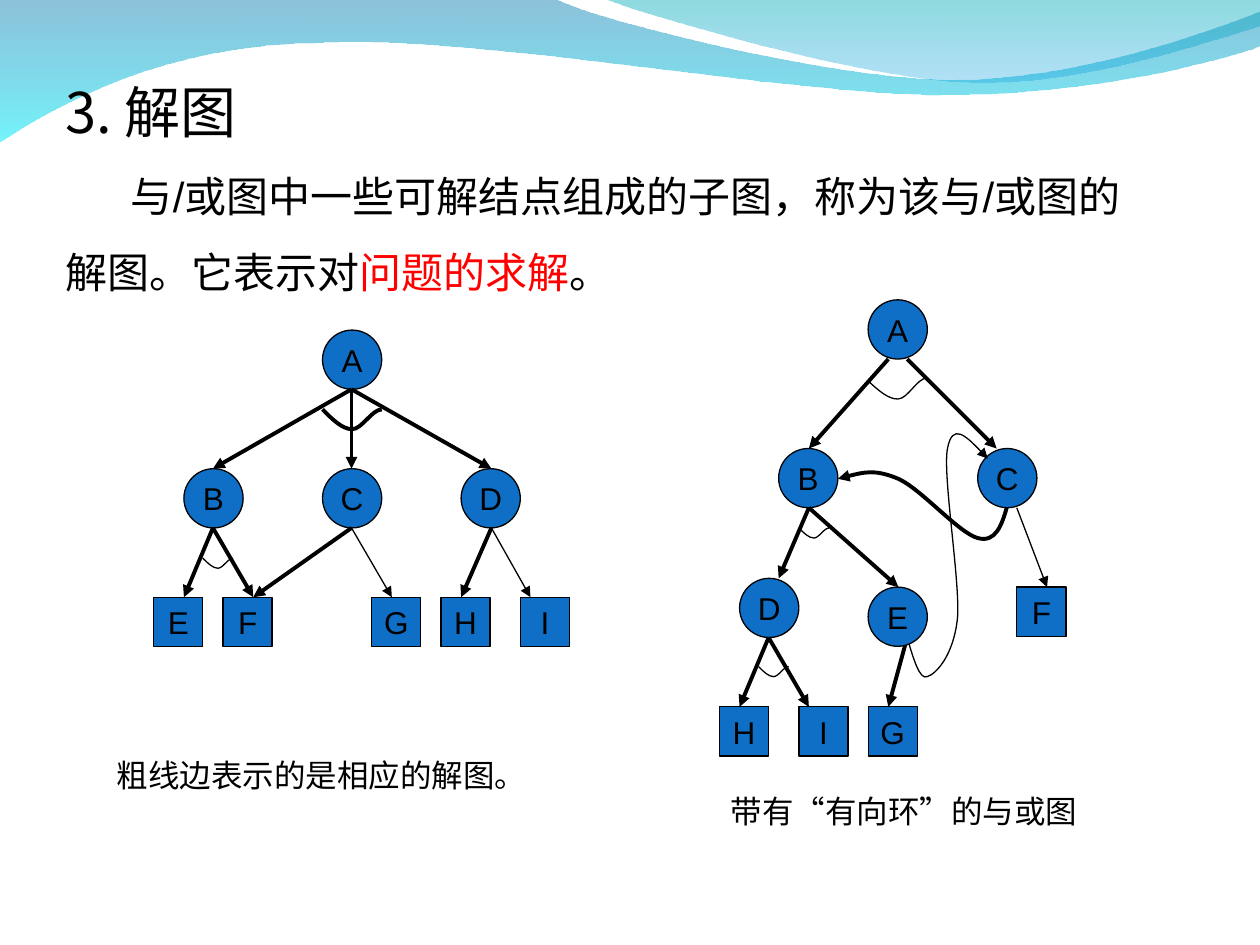
import pptx
import pptx.util
import pptx.dml.color
import pptx.enum.shapes
import pptx.enum.text
import pptx.oxml.ns
from lxml import etree

Inches = pptx.util.Inches
Pt = pptx.util.Pt
qn = pptx.oxml.ns.qn
SHAPES = pptx.enum.shapes.MSO_SHAPE
ALIGN = pptx.enum.text.PP_ALIGN

COLOURS = {
    "text": "000000", "accent": "FF0000", "node": "0F6FC6",
    "wave_top": "0079AF", "wave_bottom": "00EBF8",
    "crest_top": "00ADB6", "crest_bottom": "009BE5",
}
THICK, THIN = 2.25, 0.75
CIRCLE, SQUARE = 0.47, 0.39


def colour(name):
    return pptx.dml.color.RGBColor.from_string(COLOURS[name])


class SlideBuilder:
    latin_font = "Arial"
    asian_font = "Noto Sans CJK SC"

    def __init__(self, slide):
        self.slide = slide

    def style_run(self, run, size, colour_name="text", font=None):
        run.font.size = Pt(size)
        run.font.name = font or self.latin_font
        run.font.color.rgb = colour(colour_name)
        asian = etree.SubElement(run.font._element, qn("a:ea"))
        asian.set("typeface", self.asian_font)

    def style_line(self, shape, width, arrow=False):
        shape.line.color.rgb = colour("text")
        shape.line.width = Pt(width)
        if arrow:
            line = shape.line._get_or_add_ln()
            etree.SubElement(line, qn("a:tailEnd")).set("type", "triangle")

    def text_box(self, left, top, width, height):
        box = self.slide.shapes.add_textbox(
            Inches(left), Inches(top), Inches(width), Inches(height))
        box.text_frame.word_wrap = True
        box.text_frame.auto_size = pptx.enum.text.MSO_AUTO_SIZE.SHAPE_TO_FIT_TEXT
        return box.text_frame

    def caption(self, text, *place):
        frame = self.text_box(*place)
        frame.text = text
        self.style_run(frame.paragraphs[0].runs[0], 18)

    def node(self, label, left, top, kind, size):
        shape = self.slide.shapes.add_shape(
            kind, Inches(left), Inches(top), Inches(size), Inches(size))
        shape.shadow.inherit = False
        shape.fill.solid()
        shape.fill.fore_color.rgb = colour("node")
        self.style_line(shape, THIN)
        frame = shape.text_frame
        frame.text = label
        frame.word_wrap = False
        frame.vertical_anchor = pptx.enum.text.MSO_ANCHOR.MIDDLE
        frame.paragraphs[0].alignment = ALIGN.CENTER
        self.style_run(frame.paragraphs[0].runs[0], 18)

    def circle(self, label, left, top):
        self.node(label, left, top, SHAPES.OVAL, CIRCLE)

    def square(self, label, left, top):
        self.node(label, left, top, SHAPES.RECTANGLE, SQUARE)

    def edge(self, start, end, width=THICK):
        connector = self.slide.shapes.add_connector(
            pptx.enum.shapes.MSO_CONNECTOR.STRAIGHT,
            *(Inches(value) for value in start + end))
        self.style_line(connector, width, arrow=True)
        etree.SubElement(connector._element.spPr, qn("a:effectLst"))

    def freeform(self, start, segments, close):
        """Two numbers make a straight segment, six a cubic curve."""
        points = [(Inches(segment[i]), Inches(segment[i + 1]))
                  for segment in segments for i in range(0, len(segment), 2)]
        builder = self.slide.shapes.build_freeform(Inches(start[0]), Inches(start[1]))
        builder.add_line_segments(points, close=close)
        shape = builder.convert_to_shape()
        shape.shadow.inherit = False
        # Merge each three points of a curve into one cubic element
        straight = iter(list(shape._element.iter(qn("a:lnTo"))))
        for segment in segments:
            first = next(straight)
            if len(segment) == 6:
                first.tag = qn("a:cubicBezTo")
                for extra in (next(straight), next(straight)):
                    first.append(extra[0])
                    extra.getparent().remove(extra)
        return shape

    def curve(self, start, segments, width, arrow=False):
        shape = self.freeform(start, segments, close=False)
        shape.fill.background()
        self.style_line(shape, width, arrow)
        return shape

    def and_arc(self, left, top, size, line_width=THIN):
        """Arc that joins the edges of an AND node; a third as deep as wide."""
        bottom = top + size / 3
        return self.curve((left, top), [
            (left + size / 6, top + size / 6, left + size / 3, bottom,
             left + size / 2, bottom),
            (left + size * 2 / 3, bottom, left + size * 5 / 6, top,
             left + size, top)], line_width)

    def wave(self, start, segments, stops):
        shape = self.freeform(start, segments, close=True)
        shape.line.fill.background()
        shape.fill.gradient()
        shape.fill.gradient_angle = 270
        for stop, (name, opacity) in zip(shape.fill.gradient_stops, stops):
            stop.color.rgb = colour(name)
        for element, (name, opacity) in zip(
                shape._element.spPr.iter(qn("a:srgbClr")), stops):
            etree.SubElement(element, qn("a:alpha")).set("val", str(opacity * 1000))


presentation = pptx.Presentation()
presentation.slide_width, presentation.slide_height = Inches(10), Inches(7.5)
builder = SlideBuilder(presentation.slides.add_slide(presentation.slide_layouts[6]))

# Waves along the top
builder.wave((0, -0.01), [
    (4.4, -0.01), (4.76, 0.17, 6.64, 0.63, 7.58, 0.63),
    (8.53, 0.63, 9.58, 0.26, 10, 0.09), (10.01, 0.36),
    (9.83, 0.44, 8.7, 0.76, 7.46, 0.75), (6.22, 0.75, 3.82, 0.28, 2.57, 0.34),
    (1.29, 0.35, 0.46, 0.83, -0.01, 1.13)],
    [("wave_top", 45), ("wave_bottom", 55)])
builder.wave((4.79, -0.01), [
    (5.09, 0.11, 6.82, 0.62, 7.69, 0.65), (8.56, 0.69, 9.61, 0.32, 10, 0.21),
    (10, 0)], [("crest_top", 45), ("crest_bottom", 30)])

# Heading and definition
frame = builder.text_box(0.42, 0.57, 8.83, 1.84)
frame.text = "3. 解图"
builder.style_run(frame.paragraphs[0].runs[0], 32, font=builder.asian_font)
paragraph = frame.add_paragraph()
paragraph.line_spacing = 1.5
paragraph._p.get_or_add_pPr().set("indent", str(Inches(0.52)))
for text, name in (("与/或图中一些可解结点组成的子图，称为该与/或图的解图。它表示对", "text"),
                   ("问题的求解", "accent"), ("。", "text")):
    run = paragraph.add_run()
    run.text = text
    builder.style_run(run, 24, name)

# Left graph
builder.circle("A", 2.56, 2.62)
for index, label in enumerate("BCD"):
    builder.circle(label, 1.46 + 1.1 * index, 3.72)
for label, left in zip("EFGHI", (1.22, 1.77, 2.95, 3.5, 4.13)):
    builder.square(label, left, 4.74)
for child in (1.69, 2.79, 3.9):
    builder.edge((2.79, 3.09), (child, 3.72))
for parent, leaf, width in (
        (1.69, 1.46, THICK), (3.9, 3.66, THICK), (1.69, 2.01, THICK),
        (2.79, 3.11, THIN), (3.9, 4.21, THIN), (2.79, 2.01, THICK)):
    builder.edge((parent, 4.19), (leaf, 4.74), width)
builder.and_arc(2.56, 3.25, 0.47, THICK)
builder.and_arc(1.61, 4.43, 0.24)

# Right graph with a directed cycle
for label, left, top in (("A", 6.89, 2.38), ("B", 6.18, 3.56),
                         ("C", 7.76, 3.56), ("D", 5.87, 4.59)):
    builder.circle(label, left, top)
for label, left, top in (("F", 8.07, 4.66), ("G", 6.89, 5.61),
                         ("H", 5.71, 5.61), ("I", 6.34, 5.61)):
    builder.square(label, left, top)
for start, end in (
        ((7.05, 2.85), (6.42, 3.56)), ((7.2, 2.85), (7.91, 3.56)),
        ((6.42, 4.03), (6.18, 4.59)), ((6.1, 5.06), (5.87, 5.61)),
        ((6.42, 4.03), (7.13, 4.66)), ((6.1, 5.06), (6.42, 5.61)),
        ((7.2, 5.06), (7.05, 5.61))):
    builder.edge(start, end)
builder.edge((8.07, 4.03), (8.31, 4.66), THIN)
builder.and_arc(6.89, 3.01, 0.47).rotation = -2.5
builder.and_arc(6.34, 4.19, 0.24)
builder.and_arc(6.02, 5.29, 0.24)
builder.curve((7.2, 5.06), [
    (7.25, 5.23, 7.3, 5.4, 7.36, 5.37), (7.43, 5.35, 7.57, 5.2, 7.6, 4.9),
    (7.62, 4.6, 7.48, 3.77, 7.52, 3.56), (7.56, 3.35, 7.7, 3.49, 7.84, 3.64)],
    THIN, arrow=True)
builder.circle("E", 6.89, 4.66)
builder.curve((7.99, 4.03), [
    (7.95, 4.17, 7.9, 4.31, 7.76, 4.27), (7.61, 4.23, 7.31, 3.88, 7.13, 3.8),
    (6.94, 3.72, 6.8, 3.76, 6.65, 3.8)], THICK, arrow=True)

# Captions
builder.caption("带有“有向环”的与或图", 5.7, 6.24, 3.15, 0.4)
builder.caption("粗线边表示的是相应的解图。", 0.83, 5.95, 3.62, 0.4)

presentation.save("out.pptx")
